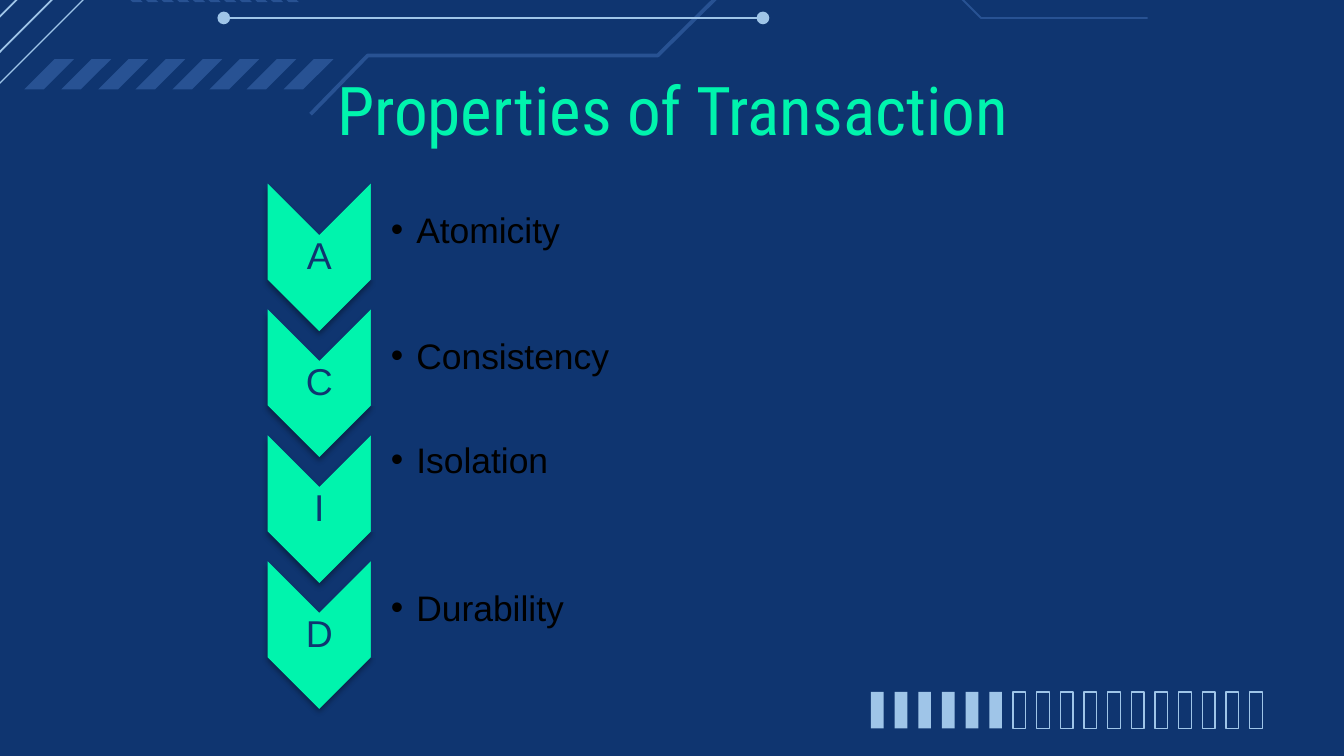
from lxml.etree import SubElement
from pptx import Presentation
from pptx.dml.color import RGBColor
from pptx.enum.shapes import MSO_CONNECTOR, MSO_SHAPE
from pptx.enum.text import MSO_ANCHOR, PP_ALIGN
from pptx.oxml.ns import qn
from pptx.util import Cm, Pt

COLORS = {"navy": "0F3570", "blue": "285293", "sky": "9FC5E8", "mint": "00F4AD", "black": "000000"}
TITLE_FONT = {"name": "Roboto Condensed", "size": Pt(36), "bold": False}
LETTER_FONT = {"name": "Arial", "size": Pt(20)}
PROPERTY_FONT = {"name": "Arial", "size": Pt(19)}
PROPERTIES = [("Atomicity", 0), ("Consistency", 0), ("Isolation", 0.42), ("Durability", 0)]


def rgb(color):
    return RGBColor.from_string(COLORS[color])


def paint(part, fill=None, line=None, width=0.75):
    part.shadow.inherit = False
    if fill:
        part.fill.solid()
        part.fill.fore_color.rgb = rgb(fill)
    else:
        part.fill.background()
    if line:
        part.line.color.rgb = rgb(line)
        part.line.width = Pt(width)
    else:
        part.line.fill.background()
    return part


def add_preset(slide, kind, left, top, width, height, **look):
    return paint(slide.shapes.add_shape(kind, Cm(left), Cm(top), Cm(width), Cm(height)), **look)


def add_outline(slide, left, top, points, close=True, **look):
    corners = [(Cm(left + x), Cm(top + y)) for x, y in points]
    builder = slide.shapes.build_freeform(*corners[0])
    builder.add_line_segments(corners[1:], close=close)
    return paint(builder.convert_to_shape(), **look)


def add_straight(slide, start_x, start_y, end_x, end_y):
    straight = slide.shapes.add_connector(
        MSO_CONNECTOR.STRAIGHT, Cm(start_x), Cm(start_y), Cm(end_x), Cm(end_y))
    straight.line.color.rgb = rgb("sky")
    straight.line.width = Pt(1)
    SubElement(straight._element.spPr, qn("a:effectLst"))


def set_text(frame, words, font, color, align, insets, anchor):
    frame.word_wrap = True
    frame.vertical_anchor = anchor
    for side, inset in zip(("left", "top", "right", "bottom"), insets):
        setattr(frame, f"margin_{side}", Cm(inset))
    frame.text = words
    paragraph = frame.paragraphs[0]
    paragraph.alignment = align
    run_font = paragraph.runs[0].font
    for name, value in font.items():
        setattr(run_font, name, value)
    run_font.color.rgb = rgb(color)
    return paragraph


def add_label(slide, left, top, width, height, *text):
    box = slide.shapes.add_textbox(Cm(left), Cm(top), Cm(width), Cm(height))
    paragraph = set_text(box.text_frame, *text, MSO_ANCHOR.MIDDLE)
    paragraph.line_spacing = 0.9
    return paragraph


def add_bullet(paragraph, color):
    properties = paragraph._p.get_or_add_pPr()
    properties.set("marL", str(Cm(0.48)))
    properties.set("indent", str(-Cm(0.48)))
    bullet_color = SubElement(properties, qn("a:buClr"))
    SubElement(bullet_color, qn("a:srgbClr"), val=COLORS[color])
    SubElement(properties, qn("a:buFont"), typeface="Arial")
    SubElement(properties, qn("a:buChar"), char="•")


def add_drop_shadow(part):
    effects = part._element.spPr.find(qn("a:effectLst"))
    shadow = SubElement(effects, qn("a:outerShdw"), blurRad=str(Pt(3.1)), dist=str(Pt(1.8)),
                        dir="5400000", rotWithShape="0")
    shade = SubElement(shadow, qn("a:srgbClr"), val=COLORS["black"])
    SubElement(shade, qn("a:alpha"), val="35000")


def add_circuit(slide, left, top):
    traces = [
        ("sky", 0.75, [(-0.48, 2.05), (3.23, -1.66), (6.58, -1.66), (7.99, -0.27),
                       (11.4, -0.27), (13.42, -2.3), (15.37, -2.3)]),
        ("blue", 2, [(5.87, 2.16), (6.95, 1.05), (12.43, 1.05), (13.88, -0.38), (16.41, -0.38)]),
        ("blue", 1, [(21.69, 0.34), (18.54, 0.34), (17.23, -0.97), (14.86, -0.97)]),
    ]
    for color, width, points in traces:
        add_outline(slide, left, top, points, close=False, line=color, width=width)
    for ends in [(4.24, 0.34, 14.33, 0.34), (-1.09, 2.07, 2.65, -1.68), (-1.56, 1.87, 2.2, -1.89)]:
        start_x, start_y, end_x, end_y = ends
        add_straight(slide, left + start_x, top + start_y, left + end_x, top + end_y)
    for center in (4.23, 14.42):
        add_preset(slide, MSO_SHAPE.OVAL, left + center - 0.12, top + 0.22, 0.24, 0.24, fill="sky")
    stripe = [(0.37, 0.57), (0.94, 0), (0.57, 0), (0, 0.57)]
    for index in range(8):
        add_outline(slide, left + 0.46 + index * 0.7, top + 1.12, stripe, fill="blue")
    arrow = [(0.49, 0.52), (0.2, 0.25), (0.46, 0), (0.27, 0), (0, 0.25), (0.3, 0.52)]
    for index in range(11):
        add_outline(slide, left + 2.21 + index * 2.95 / 10, top - 0.48, arrow, fill="blue")


def add_meter(slide, left, top, width, height, count=17, filled=6):
    bar_width = 0.24
    step = (width - bar_width) / (count - 1)
    for index in range(count):
        look = {"fill": "sky"} if index < filled else {"line": "sky"}
        add_preset(slide, MSO_SHAPE.RECTANGLE, left + index * step, top, bar_width, height, **look)


def add_turned(slide, kind, left, top, width, height, fill):
    part = add_preset(slide, kind, left + (width - height) / 2, top + (height - width) / 2,
                      height, width, fill=fill)
    part.rotation = 90
    return part


def add_property(slide, left, top, word, lift):
    column = 1.95
    chevron = add_turned(slide, MSO_SHAPE.CHEVRON, left, top, column, 2.79, "mint")
    add_drop_shadow(chevron)
    add_label(slide, left, top + 0.98, column, 0.84, word[0], LETTER_FONT, "navy",
              PP_ALIGN.CENTER, (0.03, 0.03, 0.03, 0.03))
    panel = add_turned(slide, MSO_SHAPE.ROUND_2_SAME_RECTANGLE, left + column, top,
                       13.31, 1.83, "navy")
    SubElement(panel._element.spPr.find(qn("a:solidFill"))[0], qn("a:alpha"), val="90000")
    entry = add_label(slide, left + column, top + 0.09, 13.23, 1.65, word, PROPERTY_FONT, "black",
                      PP_ALIGN.LEFT, (0.38, 0.03, 0.03, 0.03 + 2 * lift))
    add_bullet(entry, "black")


def add_property_list(slide, left, top, step):
    for index, (word, lift) in enumerate(PROPERTIES):
        add_property(slide, left, top + index * step, word, lift)


def add_title(slide, left, top, width, height):
    title = slide.shapes.title
    box = {"left": left, "top": top, "width": width, "height": height}
    for name, value in box.items():
        setattr(title, name, Cm(value))
    set_text(title.text_frame, "Properties of Transaction", TITLE_FONT, "mint",
             PP_ALIGN.CENTER, (0, 0, 0, 0), MSO_ANCHOR.TOP)


def build_slide(deck):
    slide = deck.slides.add_slide(deck.slide_layouts[5])
    slide.background.fill.solid()
    slide.background.fill.fore_color.rgb = rgb("navy")
    add_circuit(slide, 0, 0)
    add_meter(slide, 16.46, 13.08, 7.4, 0.69)
    add_title(slide, 2.01, 1.3, 21.41, 1.35)
    add_property_list(slide, 5.06, 3.47, 2.38)


deck = Presentation()
deck.slide_width, deck.slide_height = Cm(25.4), Cm(14.29)
build_slide(deck)
deck.save("out.pptx")
